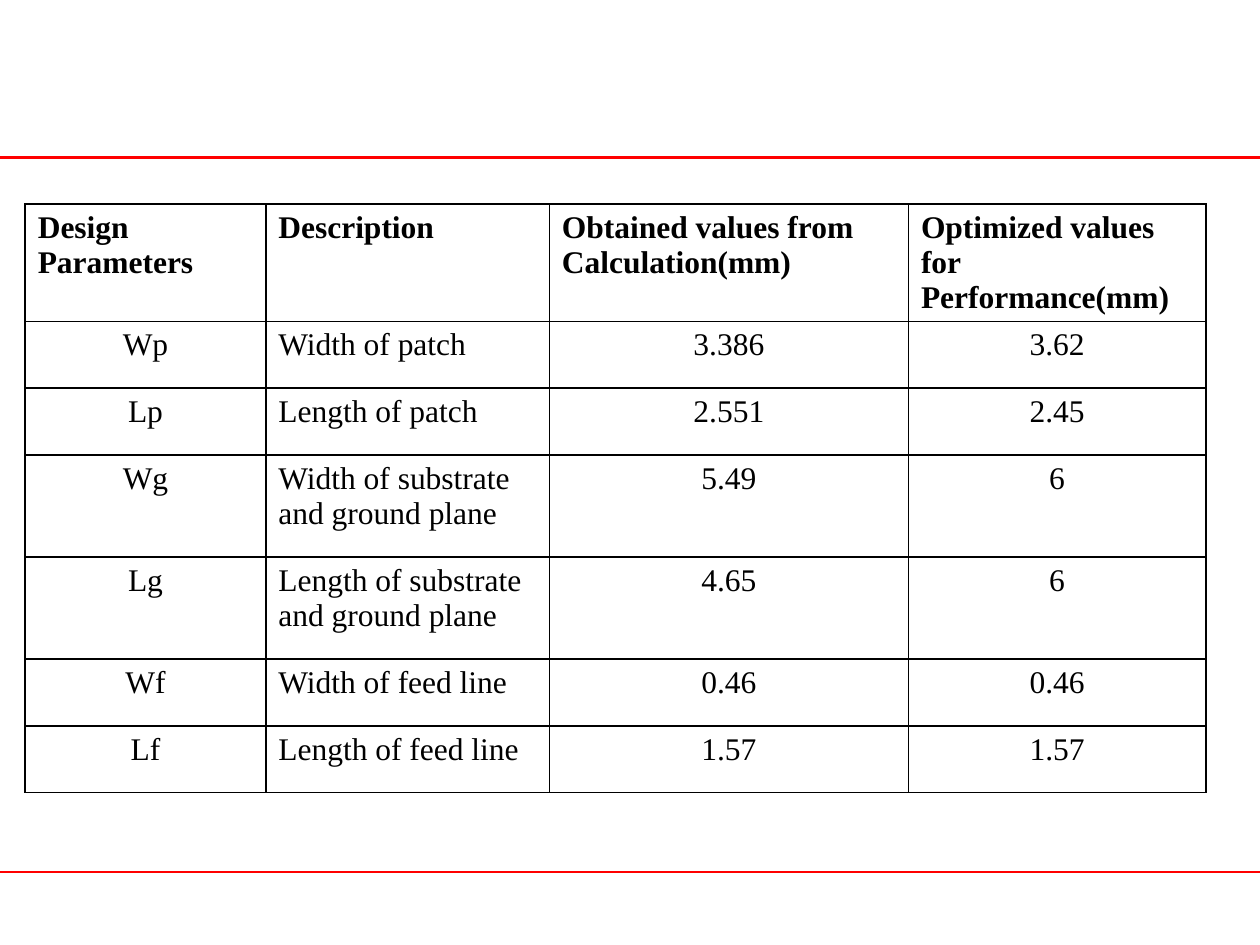
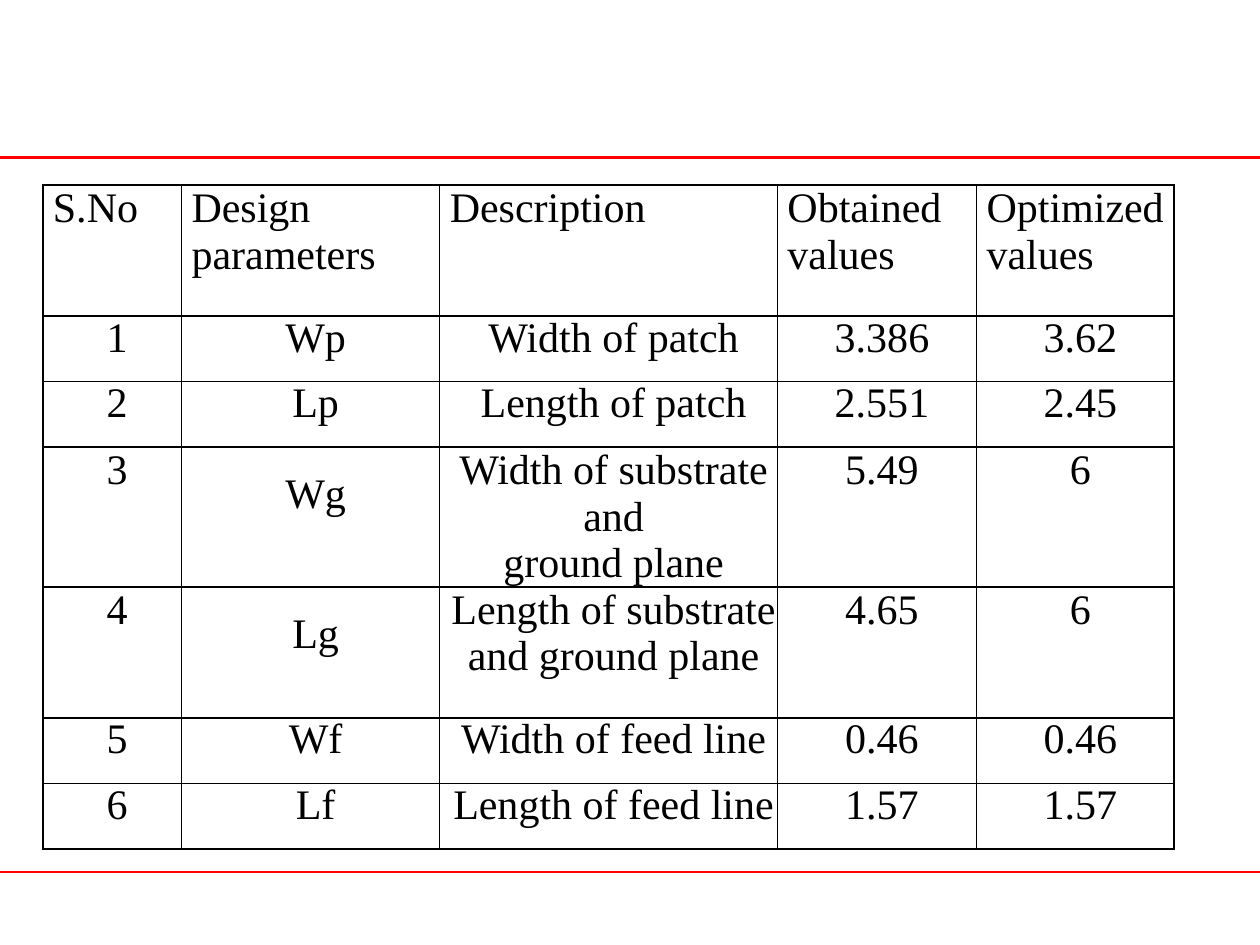
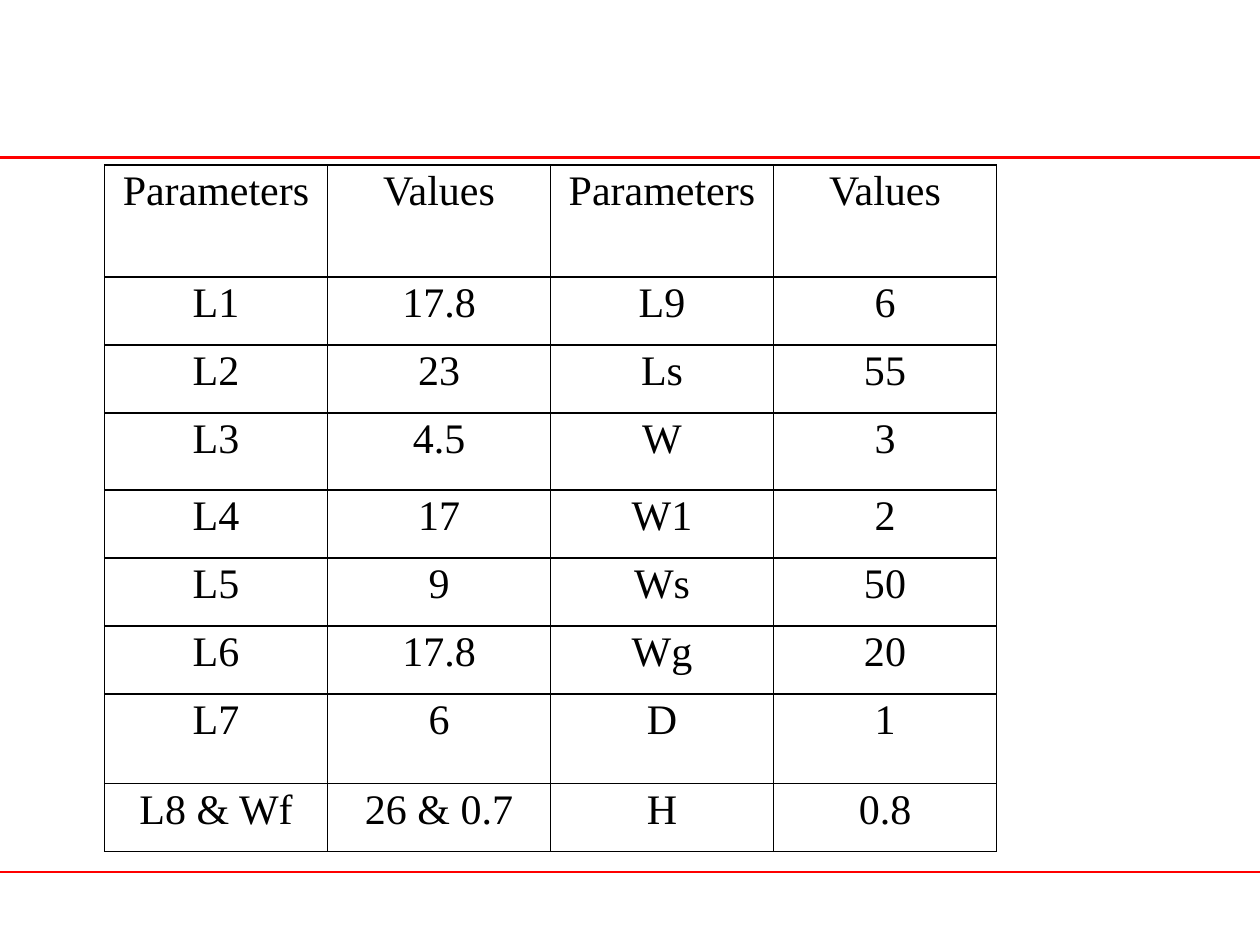
from dataclasses import dataclass

from lxml.etree import SubElement
from pptx import Presentation
from pptx.dml.color import RGBColor
from pptx.enum.shapes import MSO_CONNECTOR
from pptx.enum.text import PP_ALIGN
from pptx.oxml.ns import qn
from pptx.presentation import Presentation as Deck
from pptx.slide import Slide
from pptx.table import _Cell as Cell
from pptx.util import Inches, Length, Pt


@dataclass(frozen=True)
class Theme:
    font: str = "Times New Roman"
    text: RGBColor = RGBColor(0, 0, 0)
    rule: RGBColor = RGBColor(255, 0, 0)
    border: str = "000000"
    small: Length = Pt(18)
    large: Length = Pt(24)
    rule_width: Length = Pt(1.5)
    border_width: Length = Pt(1)


@dataclass(frozen=True)
class Row:
    height: float
    texts: tuple[str, ...]
    line_spacing: float | Length = 1.0


@dataclass(frozen=True)
class TableStyle:
    size: Length
    margins: tuple[float, float, float, float]  # left, top, right, bottom
    header_bold: bool = False
    header_align: PP_ALIGN = PP_ALIGN.LEFT
    left_columns: tuple[int, ...] = ()
    space_after: Length = Pt(0)


@dataclass(frozen=True)
class ParameterTable:
    left: float
    top: float
    columns: tuple[float, ...]
    rows: tuple[Row, ...]
    style: TableStyle
    lowered_cells: tuple[tuple[int, int], ...] = ()


THEME = Theme()
SLIDE_WIDTH, SLIDE_HEIGHT = 10, 7.5
RULE_TOPS = (1.25, 6.92)
HALF_LINE = 0.19
TALL, SHORT = Pt(26.6), Pt(25.6)

DESIGN_VALUES = ParameterTable(
    0.2, 1.62, (1.91, 2.25, 2.85, 2.36),
    (
        Row(0.81, ("Design Parameters", "Description", "Obtained values from Calculation(mm)",
                   "Optimized values for Performance(mm)")),
        Row(0.53, ("Wp", "Width of patch", "3.386", "3.62")),
        Row(0.53, ("Lp", "Length of patch", "2.551", "2.45")),
        Row(0.81, ("Wg", "Width of substrate and ground plane", "5.49", "6")),
        Row(0.81, ("Lg", "Length of substrate\nand ground plane", "4.65", "6")),
        Row(0.53, ("Wf", "Width of feed line", "0.46", "0.46")),
        Row(0.53, ("Lf", "Length of feed line", "1.57", "1.57")),
    ),
    TableStyle(THEME.small, (0.1, 0.05, 0.1, 0.05), header_bold=True, left_columns=(1,)),
)

NUMBERED_VALUES = ParameterTable(
    0.34, 1.47, (1.1, 2.05, 2.68, 1.58, 1.57),
    (
        Row(1.04, ("S.No", "Design\nparameters", "Description", "Obtained\nvalues",
                   "Optimized\nvalues"), TALL),
        Row(0.52, ("1", "Wp", "Width of patch", "3.386", "3.62"), SHORT),
        Row(0.52, ("2", "Lp", "Length of patch", "2.551", "2.45"), SHORT),
        Row(1.04, ("3", "Wg", "Width of substrate\nand\nground plane", "5.49", "6"), TALL),
        Row(1.04, ("4", "Lg", "Length of substrate\nand ground plane", "4.65", "6"), TALL),
        Row(0.52, ("5", "Wf", "Width of feed line", "0.46", "0.46"), SHORT),
        Row(0.52, ("6", "Lf", "Length of feed line", "1.57", "1.57"), SHORT),
    ),
    TableStyle(THEME.large, (0.08, 0, 0, 0)),
    lowered_cells=((3, 1), (4, 1)),
)

ANTENNA_VALUES = ParameterTable(
    0.83, 1.31, (1.77,) * 4,
    tuple(Row(height, texts, 1.07) for height, texts in (
        (0.89, ("Parameters", "Values") * 2),
        (0.54, ("L1", "17.8", "L9", "6")),
        (0.54, ("L2", "23", "Ls", "55")),
        (0.61, ("L3", "4.5", "W", "3")),
        (0.54, ("L4", "17", "W1", "2")),
        (0.54, ("L5", "9", "Ws", "50")),
        (0.54, ("L6", "17.8", "Wg", "20")),
        (0.71, ("L7", "6", "D", "1")),
        (0.54, ("L8 & Wf", "26 & 0.7", "H", "0.8")),
    )),
    TableStyle(THEME.large, (0.06, 0, 0.06, 0), header_align=PP_ALIGN.CENTER,
               space_after=Pt(8)),
)


def add_master_rules(deck: Deck, page: Slide) -> None:
    """Draw the red rules on a page and move them to the master, which all pages share."""
    for number, top in enumerate(RULE_TOPS):
        rule = page.shapes.add_connector(
            MSO_CONNECTOR.STRAIGHT, Inches(0), Inches(top), Inches(SLIDE_WIDTH), Inches(top))
        rule.line.color.rgb = THEME.rule
        rule.line.width = THEME.rule_width
        SubElement(rule.element.spPr, qn("a:effectLst"))
        rule.element.nvCxnSpPr.cNvPr.id = 100 + number
        deck.slide_master.shapes.element.append(rule.element)


def add_borders(cell: Cell) -> None:
    properties = cell._tc.get_or_add_tcPr()
    for side in ("lnL", "lnR", "lnT", "lnB"):
        line = SubElement(properties, qn(f"a:{side}"), w=str(THEME.border_width))
        fill = SubElement(line, qn("a:solidFill"))
        SubElement(fill, qn("a:srgbClr"), val=THEME.border)


def fill_cell(cell: Cell, text: str, row: Row, style: TableStyle, align: PP_ALIGN,
              bold: bool, lowered: bool) -> None:
    left, top, right, bottom = style.margins
    cell.margin_left, cell.margin_right = Inches(left), Inches(right)
    cell.margin_top = Inches(top + HALF_LINE if lowered else top)
    cell.margin_bottom = Inches(bottom)
    add_borders(cell)
    cell.fill.background()
    cell.text_frame.text = text
    for para in cell.text_frame.paragraphs:
        para.alignment = align
        para.line_spacing = row.line_spacing
        para.space_after = style.space_after
        for span in para.runs:
            span.font.name = THEME.font
            span.font.size = style.size
            span.font.bold = bold
            span.font.color.rgb = THEME.text


def add_parameter_table(page: Slide, content: ParameterTable) -> None:
    style = content.style
    frame = page.shapes.add_table(
        len(content.rows), len(content.columns), Inches(content.left), Inches(content.top),
        Inches(sum(content.columns)), Inches(sum(row.height for row in content.rows)))
    table = frame.table
    table.first_row = table.horz_banding = False
    for column, width in zip(table.columns, content.columns):
        column.width = Inches(width)
    for r, row in enumerate(content.rows):
        table.rows[r].height = Inches(row.height)
        for c, text in enumerate(row.texts):
            if r == 0:
                align = style.header_align
            else:
                align = PP_ALIGN.LEFT if c in style.left_columns else PP_ALIGN.CENTER
            fill_cell(table.cell(r, c), text, row, style, align,
                      bold=style.header_bold and r == 0,
                      lowered=(r, c) in content.lowered_cells)


def main() -> None:
    deck = Presentation()
    deck.slide_width, deck.slide_height = Inches(SLIDE_WIDTH), Inches(SLIDE_HEIGHT)
    blank = deck.slide_layouts.get_by_name("Blank")
    for content in (DESIGN_VALUES, NUMBERED_VALUES, ANTENNA_VALUES):
        add_parameter_table(deck.slides.add_slide(blank), content)
    add_master_rules(deck, deck.slides[0])
    deck.save("out.pptx")


if __name__ == "__main__":
    main()
